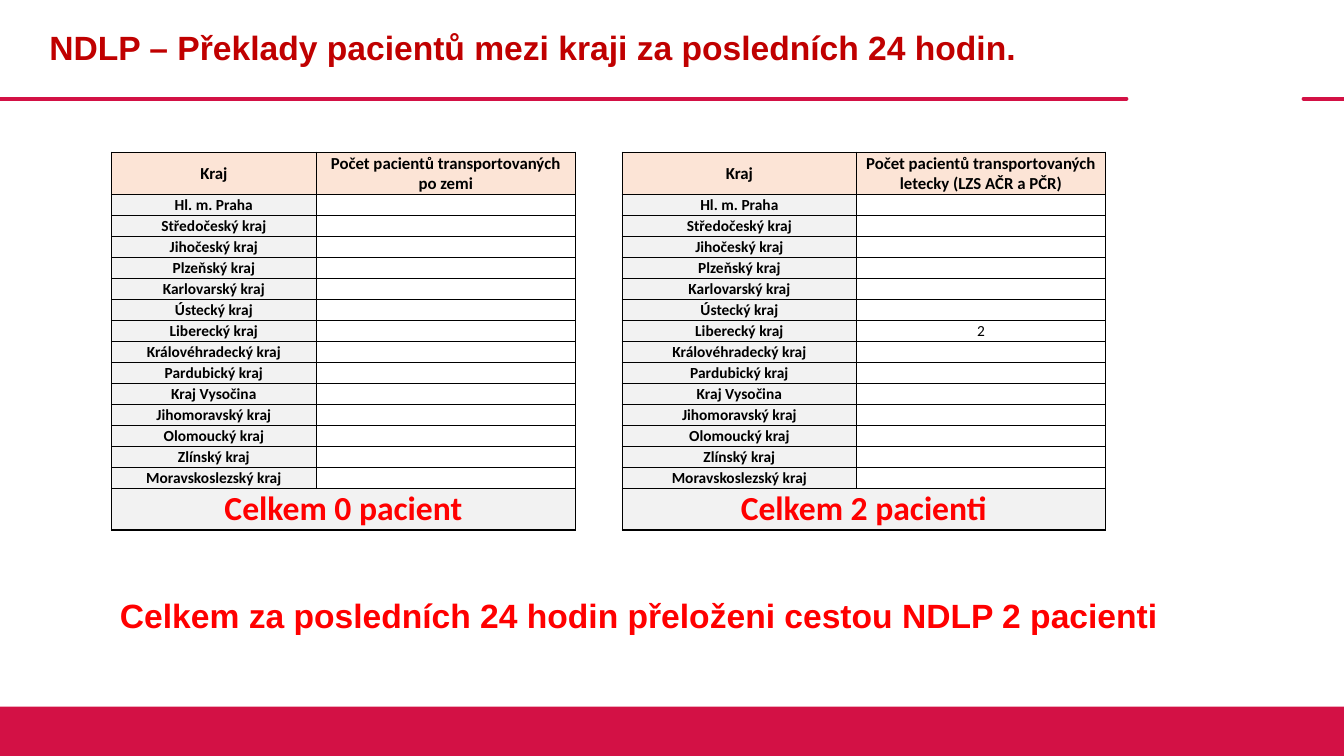
from lxml.etree import SubElement
from pptx import Presentation
from pptx.dml.color import RGBColor
from pptx.enum.shapes import MSO_CONNECTOR, MSO_SHAPE
from pptx.enum.text import MSO_ANCHOR, PP_ALIGN
from pptx.oxml import parse_xml
from pptx.oxml.ns import nsdecls, qn
from pptx.util import Inches, Pt

REGIONS = [
    "Hl. m. Praha", "Středočeský kraj", "Jihočeský kraj", "Plzeňský kraj",
    "Karlovarský kraj", "Ústecký kraj", "Liberecký kraj",
    "Královéhradecký kraj", "Pardubický kraj", "Kraj Vysočina",
    "Jihomoravský kraj", "Olomoucký kraj", "Zlínský kraj",
    "Moravskoslezský kraj",
]


def color(code):
    return RGBColor.from_string(code)


class TransferSlide:
    """Style and drawing methods; all lengths are percentages of the slide."""

    CRIMSON, DARK_RED, RED = "D31145", "C00000", "FF0000"
    BLACK, WHITE, PEACH, GRAY = "000000", "FFFFFF", "FCE4D6", "F2F2F2"
    HEADING_FONT, TABLE_FONT = "Arial", "Calibri"

    def __init__(self, deck):
        self.width, self.height = deck.slide_width, deck.slide_height
        self.slide = deck.slides.add_slide(deck.slide_layouts[6])

    def x(self, share):
        return round(self.width * share / 100)

    def y(self, share):
        return round(self.height * share / 100)

    def area(self, left, top, width, height):
        return self.x(left), self.y(top), self.x(width), self.y(height)

    def set_text(self, frame, text, size, ink, font, bold=True, align=PP_ALIGN.CENTER):
        frame.text = text
        for para in frame.paragraphs:
            para.alignment = align
            for span in para.runs:
                span.font.size = Pt(size)
                span.font.name = font
                span.font.bold = bold
                span.font.color.rgb = color(ink)

    def rule(self, start, end, level):
        line = self.slide.shapes.add_connector(
            MSO_CONNECTOR.STRAIGHT, self.x(start), self.y(level), self.x(end), self.y(level))
        line.line.color.rgb = color(self.CRIMSON)
        line.line.width = Pt(3)
        properties = line._element.spPr
        properties.find(qn("a:ln")).set("cap", "rnd")
        SubElement(properties, qn("a:effectLst"))

    def band(self, *area):
        shape = self.slide.shapes.add_shape(MSO_SHAPE.RECTANGLE, *self.area(*area))
        shape.shadow.inherit = False
        shape.fill.solid()
        shape.fill.fore_color.rgb = color(self.CRIMSON)
        shape.line.fill.background()

    def heading(self, text, area, ink, align, anchor):
        box = self.slide.shapes.add_textbox(*self.area(*area))
        frame = box.text_frame
        frame.word_wrap = True
        frame.vertical_anchor = anchor
        self.set_text(frame, text, 24, ink, self.HEADING_FONT, align=align)
        frame.paragraphs[0].line_spacing = 0.9 if align == PP_ALIGN.LEFT else 1.0

    def cell(self, cell, text, size, fill, ink=BLACK, bold=True, top=0.5, bottom=0.5):
        cell.margin_left = cell.margin_right = cell.margin_top = Inches(0.01)
        cell.margin_bottom = 0
        cell.vertical_anchor = MSO_ANCHOR.MIDDLE
        cell.fill.solid()
        cell.fill.fore_color.rgb = color(fill)
        self.set_text(cell.text_frame, text, size, ink, self.TABLE_FONT, bold)
        if not text:
            para = cell.text_frame.paragraphs[0]
            SubElement(para._p, qn("a:endParaRPr"), sz=str(size * 100))
        edges = {"lnL": 1, "lnR": 1, "lnT": top, "lnB": bottom}
        for position, (edge, points) in enumerate(edges.items()):
            cell._tc.get_or_add_tcPr().insert(position, parse_xml(
                f'<a:{edge} {nsdecls("a")} w="{int(Pt(points))}"><a:solidFill>'
                f'<a:srgbClr val="{self.BLACK}"/></a:solidFill></a:{edge}>'))

    def region_table(self, left, columns, count_title, counts, total):
        top, height = 20.13, 50
        units = [2] + [1] * len(REGIONS) + [2]
        frame = self.slide.shapes.add_table(
            len(units), 2, *self.area(left, top, sum(columns), height))
        table = frame.table
        table.first_row = table.horz_banding = False
        for column, share in zip(table.columns, columns):
            column.width = self.x(share)
        for row, unit in zip(table.rows, units):
            row.height = self.y(height * unit / sum(units))

        for index, text in enumerate(["Kraj", count_title]):
            self.cell(table.cell(0, index), text, 12, self.PEACH, top=1)
        for index, region in enumerate(REGIONS, 1):
            self.cell(table.cell(index, 0), region, 11, self.GRAY)
            self.cell(table.cell(index, 1), counts.get(region, ""), 11, self.WHITE, bold=False)
        last = len(units) - 1
        table.cell(last, 0).merge(table.cell(last, 1))
        for index, text in enumerate([total, ""]):
            self.cell(table.cell(last, index), text, 24, self.GRAY, self.RED, bottom=1)


def main():
    deck = Presentation()
    deck.slide_width, deck.slide_height = Inches(13.33), Inches(7.5)
    page = TransferSlide(deck)

    page.rule(0, 83.8, 13.07)
    page.rule(97, 100, 13.07)
    page.band(0, 93.47, 100, 6.53)
    page.heading("NDLP – Překlady pacientů mezi kraji za posledních 24 hodin.",
                 (2.93, 0, 81.1, 13.07), page.DARK_RED, PP_ALIGN.LEFT, MSO_ANCHOR.MIDDLE)
    page.region_table(8.3, (15.23, 19.28), "Počet pacientů transportovaných\npo zemi",
                      {}, "Celkem 0 pacient")
    page.region_table(46.29, (17.45, 18.5),
                      "Počet pacientů transportovaných letecky (LZS AČR a PČR)",
                      {"Liberecký kraj": "2"}, "Celkem 2 pacienti")
    page.heading("Celkem za posledních 24 hodin přeloženi cestou NDLP 2 pacienti",
                 (3.83, 78, 87.4, 6.67), page.RED, PP_ALIGN.CENTER, MSO_ANCHOR.TOP)
    deck.save("out.pptx")


if __name__ == "__main__":
    main()
